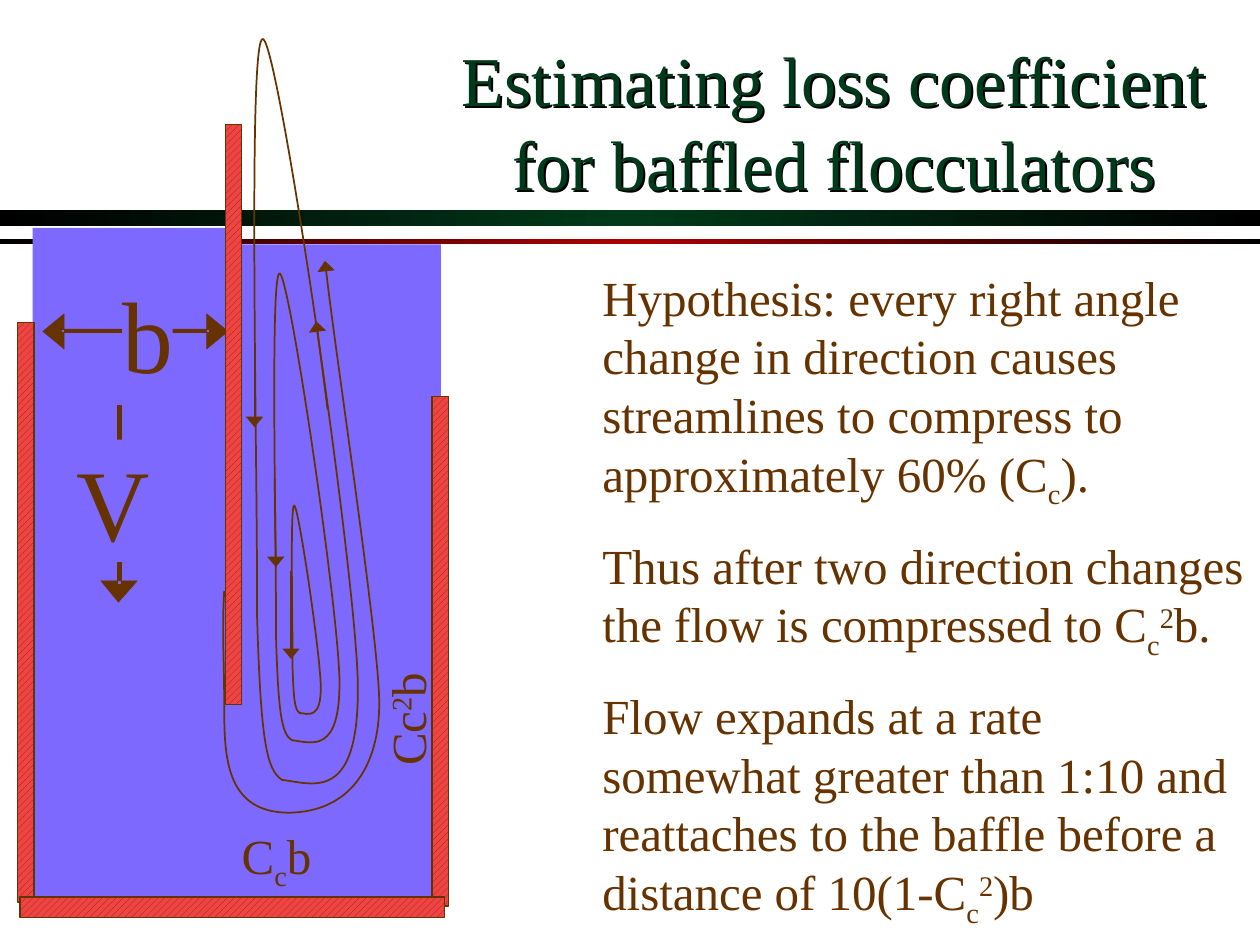
"""Build the slide on the loss coefficient of baffled flocculators."""
from copy import deepcopy
from itertools import chain

from pptx import Presentation
from pptx.dml.color import RGBColor
from pptx.enum.dml import MSO_PATTERN
from pptx.enum.shapes import MSO_CONNECTOR, MSO_SHAPE
from pptx.enum.text import MSO_ANCHOR, MSO_AUTO_SIZE, PP_ALIGN
from pptx.oxml import parse_xml
from pptx.oxml.ns import nsdecls, qn
from pptx.util import Inches, Pt

BROWN = RGBColor(0x66, 0x33, 0x00)
GREEN = RGBColor(0x00, 0x3A, 0x1A)
RED = RGBColor(0xAC, 0x00, 0x00)
BLACK = RGBColor(0x00, 0x00, 0x00)
WATER = RGBColor(0x7E, 0x69, 0xFF)
BAFFLE = RGBColor(0xF1, 0x43, 0x43)
SUB, SUP = "-25000", "30000"
ARROWHEAD = f'<a:tailEnd {nsdecls("a")} type="triangle" w="lg" len="med"/>'

prs = Presentation()
prs.slide_width, prs.slide_height = Inches(10), Inches(7.5)
CELL = prs.slide_width / 100


def grid(*cells):
    return [round(c * CELL) for c in cells]


def write(p, runs, size, color=BROWN):
    p.line_spacing = 1.0
    for text, *base in runs:
        r = p.add_run()
        r.text = text
        r.font.size, r.font.name = Pt(size), "Times New Roman"
        r.font.color.rgb = color
        if base:
            r.font._element.set("baseline", base[0])


slide = prs.slides.add_slide(prs.slide_layouts[1])
shapes = slide.shapes
title, body = slide.placeholders

title.left, title.top, title.width, title.height = grid(32.4, 3.3, 67.6, 12.5)
tf = title.text_frame
tf.auto_size, tf.vertical_anchor = MSO_AUTO_SIZE.NONE, MSO_ANCHOR.MIDDLE
p = tf.paragraphs[0]
p.alignment = PP_ALIGN.CENTER
write(p, [("Estimating loss coefficient for baffled flocculators",)], 40, GREEN)
title._element.spPr.append(parse_xml(
    f'<a:effectLst {nsdecls("a")}><a:outerShdw dist="17961" dir="2700000">'
    '<a:srgbClr val="000000"/></a:outerShdw></a:effectLst>'))

body.left, body.top, body.width, body.height = grid(46.8, 20.7, 53.2, 52.4)
tf = body.text_frame
tf.auto_size, tf.vertical_anchor = MSO_AUTO_SIZE.NONE, MSO_ANCHOR.TOP
paragraphs = [
    [("Hypothesis: every right angle change in direction causes streamlines "
      "to compress to approximately 60% (C",), ("c", SUB), ("). ",)],
    [("Thus after two direction changes the flow is compressed to C",),
     ("c", SUB), ("2", SUP), ("b.",)],
    [("Flow expands at a rate somewhat greater than 1:10 and reattaches to "
      "the baffle before a distance of 10(1-C",),
     ("c", SUB), ("2", SUP), (")b",)],
]
for i, runs in enumerate(paragraphs):
    p = tf.add_paragraph() if i else tf.paragraphs[0]
    p.space_before = Pt(14 if i else 0)
    write(p, runs, 28)
    pPr = p._p.get_or_add_pPr()
    pPr.set("marL", "0")
    pPr.set("indent", "0")
    pPr.append(parse_xml(f'<a:buNone {nsdecls("a")}/>'))

for top, height, color in [(16.7, 1.2, GREEN), (19, 0.4, RED)]:
    bar = shapes.add_shape(MSO_SHAPE.RECTANGLE, *grid(0, top, 100, height))
    bar.shadow.inherit = False
    bar.line.fill.background()
    bar.fill.gradient()
    bar.fill.gradient_angle = 0
    stops = bar._element.spPr.find(".//" + qn("a:gsLst"))
    stops.append(deepcopy(stops[0]))
    for stop, at, c in zip(bar.fill.gradient_stops, (0, 0.5, 1), (BLACK, color, BLACK)):
        stop.position, stop.color.rgb = at, c

for box in [(18.1, 19.4, 16.9, 53), (2.6, 18.1, 15.7, 53.6)]:
    sp = shapes.add_shape(MSO_SHAPE.RECTANGLE, *grid(*box))
    sp.shadow.inherit = False
    sp.fill.solid()
    sp.fill.fore_color.rgb = WATER
    sp.line.fill.background()

width_arrow = [
    [(4.9, 26.1), (16.6, 26.1), (16.6, 26.4), (4.9, 26.4)],
    [(5.1, 27.7), (3.4, 26.3), (5.1, 24.9)],
    [(16.4, 24.9), (18.1, 26.3), (16.4, 27.7)],
]
velocity_arrow = [
    [(9.6, 32.2), (9.6, 46.4), (9.3, 46.4), (9.3, 32.2)],
    [(10.9, 46.1), (9.4, 47.8), (8, 46.1)],
]
for contours in (width_arrow, velocity_arrow):
    fb = shapes.build_freeform(*grid(*contours[0][0]))
    for start, *rest in contours:
        fb.move_to(*grid(*start))
        fb.add_line_segments([grid(*pt) for pt in rest], close=True)
    sp = fb.convert_to_shape()
    sp.shadow.inherit = False
    sp.fill.solid()
    sp.fill.fore_color.rgb = sp.line.color.rgb = BROWN
    sp.line.width = Pt(0.25)

labels = [
    ((9.7, 21.6, 4, 9.7), 0, 58, [("b",)]),
    ((6.1, 34.9, 5.8, 9.7), 0, 58, [("V",)]),
    ((18.2, 65, 7.7, 5.7), 0, 28, [("C",), ("c", SUB), ("b",)]),
    ((27.5, 54.1, 9.6, 5.7), 270, 28, [("Cc",), ("2", SUP), ("b",)]),
]
for box, angle, size, runs in labels:
    sp = shapes.add_textbox(*grid(*box))
    sp.rotation = angle
    tf = sp.text_frame
    tf.word_wrap = False
    if size == 58:
        sp.fill.solid()
        sp.fill.fore_color.rgb = WATER
        tf.margin_left = tf.margin_right = tf.margin_top = tf.margin_bottom = 0
    write(tf.paragraphs[0], runs, size)

for box in [(34.3, 31.5, 1.3, 40.4), (1.4, 25.6, 1.3, 46),
            (17.9, 9.9, 1.3, 46), (1.6, 71.2, 33.7, 1.6)]:
    sp = shapes.add_shape(MSO_SHAPE.RECTANGLE, *grid(*box))
    sp.shadow.inherit = False
    sp.fill.patterned()
    sp.fill.pattern = MSO_PATTERN.WIDE_UPWARD_DIAGONAL
    sp.fill.fore_color.rgb = sp.line.color.rgb = BROWN
    sp.fill.back_color.rgb = BAFFLE
    sp.line.width = Pt(0.75)

main_stream = [(17.8, 46.9), (17.6, 50.1), (17.8, 52.2), (17.8, 56.1), (17.8, 60),
               (17.9, 64.4), (22.8, 64.5), (27.8, 64.5), (30.1, 60.8), (30.1, 55.8),
               (30.1, 50.9), (26.3, 25.9), (25.8, 20.7)]
eddy = [(0.8, 46.4), (1.1, 56.2), (1.5, 58.8), (2.8, 59.6), (5.3, 59.9), (9, 61.5),
        (8.8, 51.7), (8.5, 41.9), (2.6, 1.7), (1.3, 0.8), (0, 0), (0.9, 36.9), (0.8, 46.4)]
eddies = [[(x + px * scale, y + py * scale) for px, py in eddy]
          for x, y, scale in [(19.6, 2.3, 1), (21.4, 21.2, 0.63), (23, 39.9, 0.28)]]
for points in chain([main_stream], eddies):
    fb = shapes.build_freeform(*grid(*points[0]))
    fb.add_line_segments([grid(*pt) for pt in points[1:]], close=points is not main_stream)
    sp = fb.convert_to_shape()
    sp.shadow.inherit = False
    sp.fill.background()
    sp.line.color.rgb, sp.line.width = BROWN, Pt(1)
    segments = list(sp._element.iter(qn("a:lnTo")))
    for i in range(0, len(segments), 3):
        curve = parse_xml(f'<a:cubicBezTo {nsdecls("a")}/>')
        segments[i].addprevious(curve)
        for seg in segments[i:i + 3]:
            curve.append(seg[0])
            seg.getparent().remove(seg)
    if points is main_stream:
        sp._element.spPr.find(qn("a:ln")).append(parse_xml(ARROWHEAD))

for ends in [(26, 32.5, 25.1, 25.5), (20.2, 26.9, 20.2, 33.9),
             (21.8, 38, 21.9, 45), (23.1, 45.3, 23.1, 52.3)]:
    arrow = shapes.add_connector(MSO_CONNECTOR.STRAIGHT, *grid(*ends))
    arrow.line.color.rgb, arrow.line.width = BROWN, Pt(1)
    spPr = arrow._element.spPr
    spPr.find(qn("a:ln")).append(parse_xml(ARROWHEAD))
    spPr.append(parse_xml(f'<a:effectLst {nsdecls("a")}/>'))

prs.save("out.pptx")
